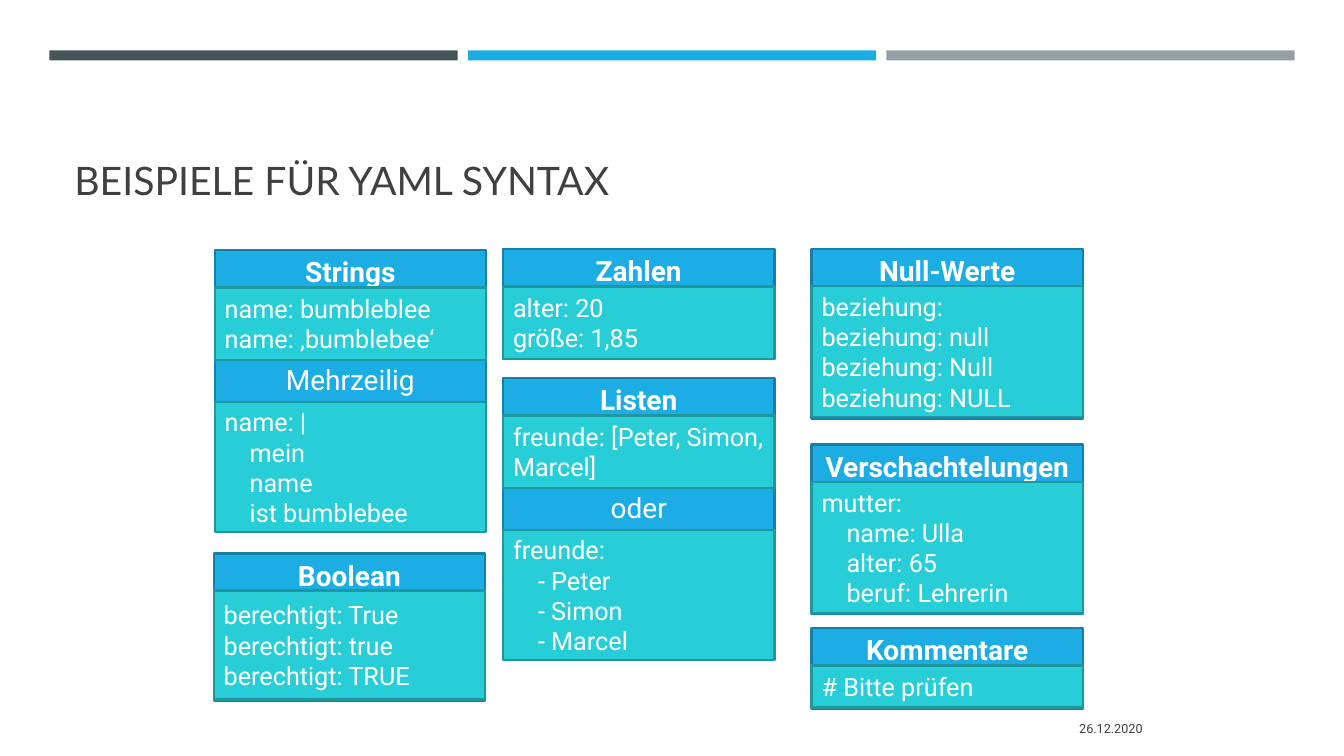
from dataclasses import dataclass

from pptx import Presentation
from pptx.dml.color import RGBColor
from pptx.enum.shapes import MSO_SHAPE
from pptx.enum.text import MSO_ANCHOR as Anchor, PP_ALIGN as Align
from pptx.util import Inches, Pt


@dataclass(frozen=True)
class Theme:
    white: str = "FFFFFF"
    ink: str = "404040"
    header: str = "1CADE4"
    header_line: str = "1580A9"
    code: str = "27CED7"
    code_line: str = "1D989F"
    bars: tuple = ("465359", "1CADE4", "969FA7")
    title_font: str = "Lato"
    body_font: str = "Roboto"
    title_size: float = 28
    header_size: float = 20
    code_size: float = 18
    date_size: float = 9
    line_width: float = 1.75


THEME = Theme()
CARD_WIDTH = 2.69
HEADER_HEIGHT = 0.37

# Each card: left, top, height, heading, code parts.
# Each code part: offset from the card's top, height, code, label above it.
CARDS = [
    (2.13, 2.48, 2.79, "Strings", [
        (HEADER_HEIGHT, 0.72, "name: bumbleblee\nname: ‚bumblebee‘", None),
        (1.51, 1.29, "name: |\n    mein\n    name\n    ist bumblebee", "Mehrzeilig"),
    ]),
    (2.12, 5.49, 1.46, "Boolean", [
        (HEADER_HEIGHT, 1.08, "berechtigt: True\nberechtigt: true\nberechtigt: TRUE", None),
    ]),
    (4.99, 2.47, 1.09, "Zahlen", [
        (HEADER_HEIGHT, 0.72, "alter: 20\ngröße: 1,85", None),
    ]),
    (4.99, 3.75, 2.79, "Listen", [
        (HEADER_HEIGHT, 0.72, "freunde: [Peter, Simon, Marcel]", None),
        (1.51, 1.29, "freunde:\n    - Peter\n    - Simon\n    - Marcel", "oder"),
    ]),
    (8.05, 2.47, 1.68, "Null-Werte", [
        (HEADER_HEIGHT, 1.3,
         "beziehung:\nbeziehung: null\nbeziehung: Null\nbeziehung: NULL", None),
    ]),
    (8.05, 4.41, 1.68, "Verschachtelungen", [
        (HEADER_HEIGHT, 1.3,
         "mutter:\n    name: Ulla\n    alter: 65\n    beruf: Lehrerin", None),
    ]),
    (8.05, 6.23, 0.8, "Kommentare", [
        (HEADER_HEIGHT, 0.42, "# Bitte prüfen", None),
    ]),
]


def write(shape, text, size, font=THEME.body_font, color=THEME.white, bold=False,
          align=Align.LEFT, anchor=Anchor.TOP):
    frame = shape.text_frame
    frame.word_wrap = True
    frame.vertical_anchor = anchor
    for index, line in enumerate(text.split("\n")):
        para = frame.add_paragraph() if index else frame.paragraphs[0]
        para.alignment = align
        span = para.add_run()
        span.text = line
        span.font.name = font
        span.font.size = Pt(size)
        span.font.bold = bold
        span.font.color.rgb = RGBColor.from_string(color)


def add_box(page, box, fill, line=None):
    shape = page.shapes.add_shape(MSO_SHAPE.RECTANGLE, *map(Inches, box))
    shape.shadow.inherit = False
    shape.fill.solid()
    shape.fill.fore_color.rgb = RGBColor.from_string(fill)
    if line:
        shape.line.color.rgb = RGBColor.from_string(line)
        shape.line.width = Pt(THEME.line_width)
    else:
        shape.line.fill.background()
    return shape


def add_text(page, box, text, size, **style):
    write(page.shapes.add_textbox(*map(Inches, box)), text, size, **style)


def add_bars(page, box):
    left, top, width, height = box
    gap = 0.1
    bar_width = (width - 2 * gap) / 3
    for index, color in enumerate(THEME.bars):
        add_box(page, (left + index * (bar_width + gap), top, bar_width, height), color)


def add_card(page, box, heading, parts):
    left, top, width, height = box
    header = add_box(page, box, THEME.header, THEME.header_line)
    write(header, heading, THEME.header_size, bold=True, align=Align.CENTER)
    for offset, part_height, code, label in parts:
        if label:
            add_text(page, (left, top + offset - 0.44, width, 0.44), label,
                     THEME.header_size, align=Align.CENTER)
        part = add_box(page, (left, top + offset, width, part_height),
                       THEME.code, THEME.code_line)
        write(part, code, THEME.code_size, anchor=Anchor.MIDDLE)


def build_syntax_slide(deck):
    page = deck.slides.add_slide(deck.slide_layouts[6])
    # Colour bars, title and date
    add_bars(page, (0.49, 0.5, 12.35, 0.1))
    add_text(page, (0.64, 0.77, 12.06, 1.3), "BEISPIELE FÜR YAML SYNTAX",
             THEME.title_size, font=THEME.title_font, color=THEME.ink,
             anchor=Anchor.BOTTOM)
    add_text(page, (8.32, 7.03, 3.11, 0.4), "26.12.2020", THEME.date_size,
             color=THEME.ink, align=Align.RIGHT, anchor=Anchor.MIDDLE)
    # Syntax cards
    for left, top, height, heading, parts in CARDS:
        add_card(page, (left, top, CARD_WIDTH, height), heading, parts)


def main():
    deck = Presentation()
    deck.slide_width = Inches(13.33)
    deck.slide_height = Inches(7.5)
    build_syntax_slide(deck)
    deck.save("out.pptx")


if __name__ == "__main__":
    main()
